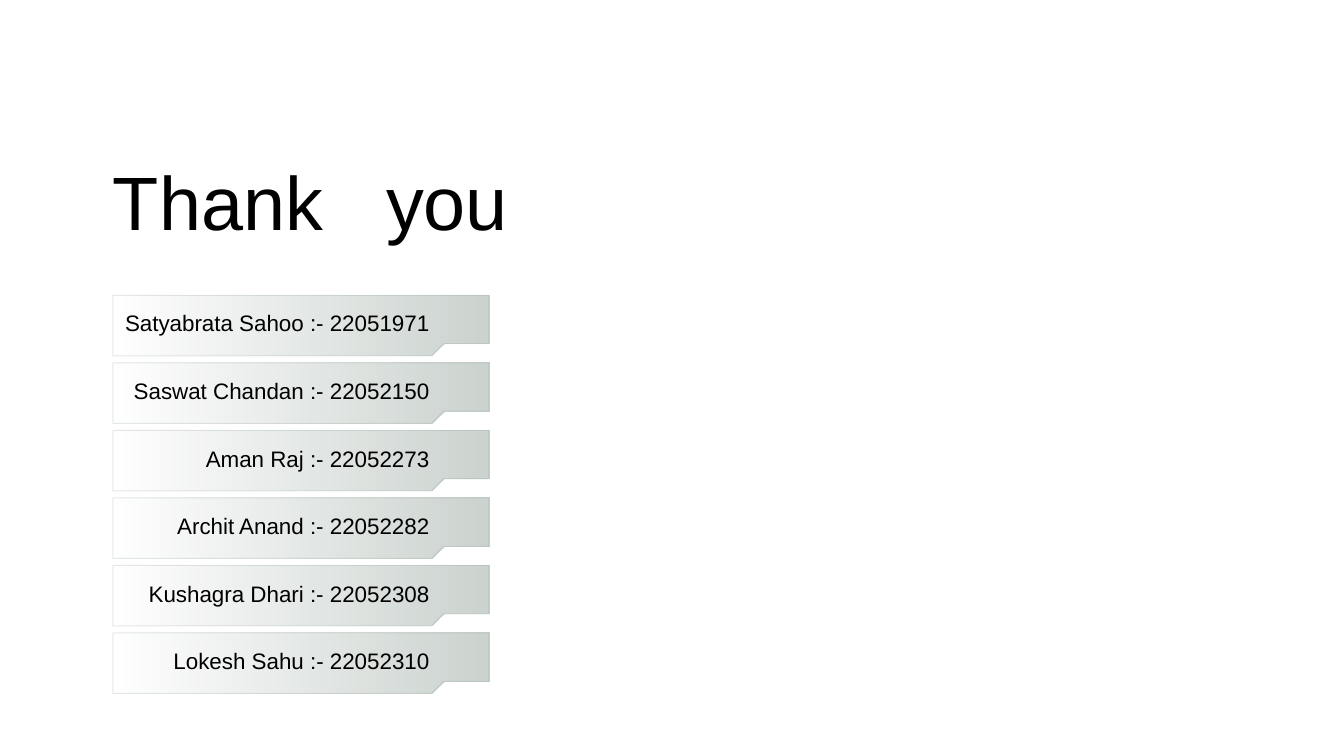
from pptx import Presentation
from pptx.dml.color import RGBColor
from pptx.enum.text import MSO_ANCHOR, PP_ALIGN
from pptx.oxml.ns import qn
from pptx.util import Inches, Pt
from lxml import etree

BLACK = RGBColor(0x00, 0x00, 0x00)
SAGE = RGBColor(0x7D, 0x90, 0x85)
LEFT, FIRST_TOP, PITCH = 1.12, 2.93, 0.67
TAB_OUTLINE = [(3.73, 0), (3.73, 0.48), (3.28, 0.48), (3.16, 0.6), (0, 0.6)]
OPACITIES = [0, 40000, 20000]  # gradient start, gradient end, border
MEMBERS = [
    "Satyabrata Sahoo :- 22051971",
    "Saswat Chandan :- 22052150",
    "Aman Raj :- 22052273",
    "Archit Anand :- 22052282",
    "Kushagra Dhari :- 22052308",
    "Lokesh Sahu :- 22052310",
]


def set_up_frame(frame, right_margin):
    frame.word_wrap = True
    frame.vertical_anchor = MSO_ANCHOR.MIDDLE
    frame.margin_left = frame.margin_top = frame.margin_bottom = 0
    frame.margin_right = Inches(right_margin)


def format_run(run, size):
    run.font.name = "Arial"
    run.font.size = Pt(size)
    run.font.color.rgb = BLACK


prs = Presentation()
prs.slide_width = Inches(13.33)
prs.slide_height = Inches(7.5)
slide = prs.slides.add_slide(prs.slide_layouts[6])

thanks = slide.shapes.add_textbox(Inches(LEFT), Inches(1.05), Inches(7.87), Inches(1.88))
set_up_frame(thanks.text_frame, 0)
thanks_line = thanks.text_frame.paragraphs[0]
for part in ("Thank", " ", "you"):
    run = thanks_line.add_run()
    run.text = part
    format_run(run, 54)
# Letter spacing widens the single space between the words
thanks_line.runs[1].font._element.set("spc", "3000")

for row, member in enumerate(MEMBERS):
    top = FIRST_TOP + row * PITCH
    builder = slide.shapes.build_freeform(Inches(LEFT), Inches(top), scale=1.0)
    builder.add_line_segments(
        [(Inches(LEFT + x), Inches(top + y)) for x, y in TAB_OUTLINE], close=True
    )
    label = builder.convert_to_shape()
    label.shadow.inherit = False
    label.fill.gradient()
    label.fill.gradient_angle = 0
    for stop in label.fill.gradient_stops:
        stop.color.rgb = SAGE
    label.line.color.rgb = SAGE
    label.line.width = Pt(0.75)
    colors = label._element.spPr.iter(qn("a:srgbClr"))
    for color, opacity in zip(list(colors), OPACITIES):
        etree.SubElement(color, qn("a:alpha")).set("val", str(opacity))

    set_up_frame(label.text_frame, 0.59)
    label.text_frame.text = member
    paragraph = label.text_frame.paragraphs[0]
    paragraph.alignment = PP_ALIGN.RIGHT
    paragraph.line_spacing = 0.8
    paragraph.space_before = Pt(10)
    format_run(paragraph.runs[0], 16)

prs.save("out.pptx")
